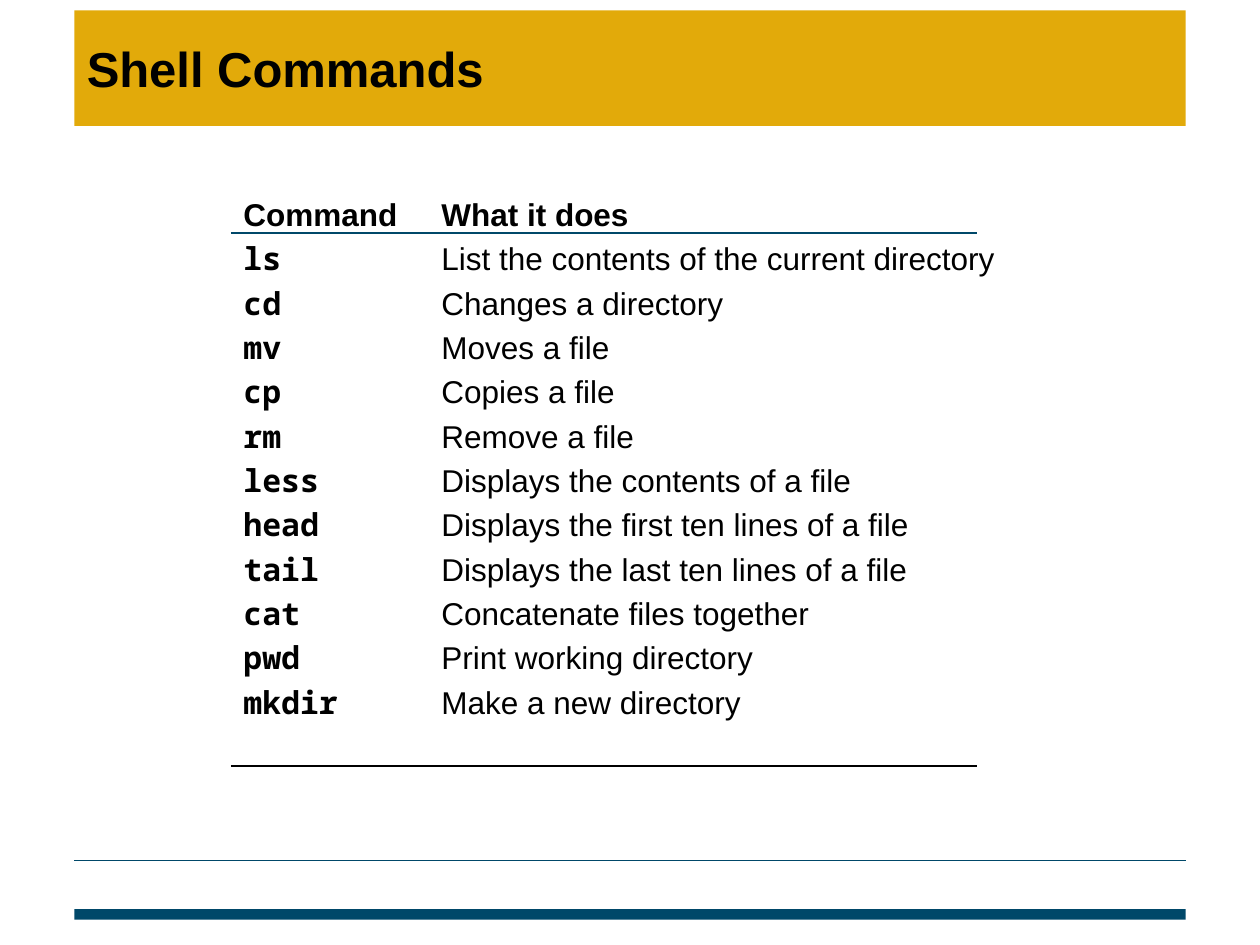
from pptx import Presentation
from pptx.dml.color import RGBColor
from pptx.enum.shapes import MSO_CONNECTOR, MSO_SHAPE
from pptx.enum.text import MSO_ANCHOR, PP_ALIGN
from pptx.oxml.ns import qn
from pptx.util import Pt
from lxml import etree

RECTANGLE = MSO_SHAPE.RECTANGLE
STRAIGHT = MSO_CONNECTOR.STRAIGHT
MIDDLE = MSO_ANCHOR.MIDDLE
LEFT = PP_ALIGN.LEFT

GOLD = RGBColor(0xE2, 0xAA, 0x0A)
TEAL = RGBColor(0x00, 0x48, 0x69)
BLACK = RGBColor(0x00, 0x00, 0x00)

BODY_FONT = "Arial"
CODE_FONT = "Noto Sans Mono"

BAND_LEFT, BAND_WIDTH = 42.5, 635
TABLE_LEFT, TABLE_RIGHT, TABLE_TOP = 132, 558, 108
DESCRIPTION_LEFT = 245.2
ROW_HEIGHT = 25.33

COMMANDS = [
    ("ls", "List the contents of the current directory"),
    ("cd", "Changes a directory"),
    ("mv", "Moves a file"),
    ("cp", "Copies a file"),
    ("rm", "Remove a file"),
    ("less", "Displays the contents of a file"),
    ("head", "Displays the first ten lines of a file"),
    ("tail", "Displays the last ten lines of a file"),
    ("cat", "Concatenate files together"),
    ("pwd", "Print working directory"),
    ("mkdir", "Make a new directory"),
]


def write_text(shape, text, font_name, size, bold):
    shape.text_frame.word_wrap = True
    paragraph = shape.text_frame.paragraphs[0]
    paragraph.text = text
    paragraph.alignment = LEFT
    paragraph.font.name = font_name
    paragraph.font.size = Pt(size)
    paragraph.font.bold = bold
    paragraph.font.color.rgb = BLACK


presentation = Presentation()
presentation.slide_width = Pt(720)
presentation.slide_height = Pt(540)
slide = presentation.slides.add_slide(presentation.slide_layouts[6])

bands = []
for top, height, color in [(519.5, 6, TEAL), (6, 66, GOLD)]:
    band = slide.shapes.add_shape(
        RECTANGLE, Pt(BAND_LEFT), Pt(top), Pt(BAND_WIDTH), Pt(height))
    band.shadow.inherit = False
    band.fill.solid()
    band.fill.fore_color.rgb = color
    band.line.fill.background()
    bands.append(band)

title = bands[-1]
title.text_frame.vertical_anchor = MIDDLE
write_text(title, "Shell Commands", BODY_FONT, 28, True)

rules = [
    (BAND_LEFT, BAND_LEFT + BAND_WIDTH, 491.8, TEAL, 0.75),
    (TABLE_LEFT, TABLE_RIGHT, TABLE_TOP + ROW_HEIGHT, TEAL, 1),
    (TABLE_LEFT, TABLE_RIGHT, 437.8, BLACK, 1),
]
for left, right, y, color, width in rules:
    rule = slide.shapes.add_connector(STRAIGHT, Pt(left), Pt(y), Pt(right), Pt(y))
    rule.line.color.rgb = color
    rule.line.width = Pt(width)
    etree.SubElement(rule.element.spPr, qn("a:effectLst"))

rows = [("Command", "What it does")] + COMMANDS
for index, (command, description) in enumerate(rows):
    is_header = index == 0
    cells = [
        (command, TABLE_LEFT, 113, BODY_FONT if is_header else CODE_FONT, True),
        (description, DESCRIPTION_LEFT, 402 if index == 1 else 312.5,
         BODY_FONT, is_header),
    ]
    for text, left, width, font_name, bold in cells:
        cell = slide.shapes.add_textbox(
            Pt(left), Pt(TABLE_TOP + index * ROW_HEIGHT), Pt(width), Pt(ROW_HEIGHT))
        write_text(cell, text, font_name, 18, bold)

presentation.save("out.pptx")
